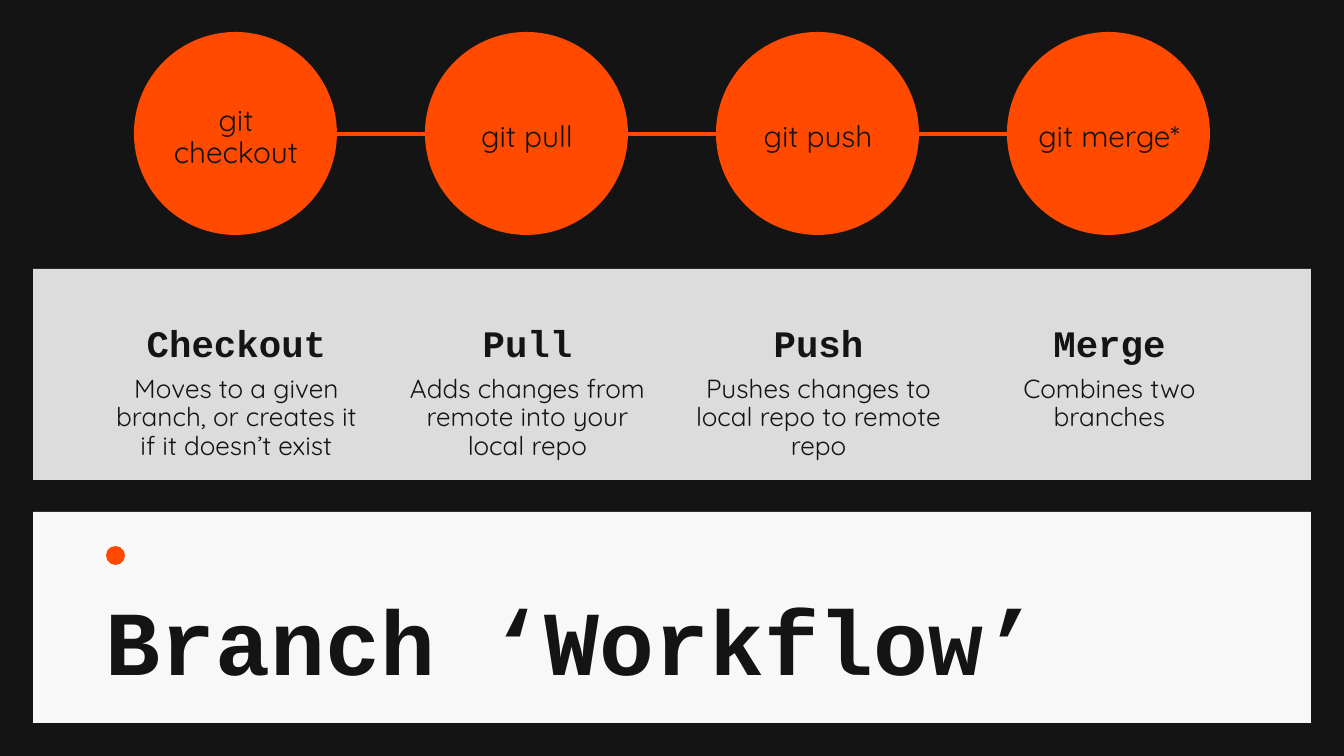
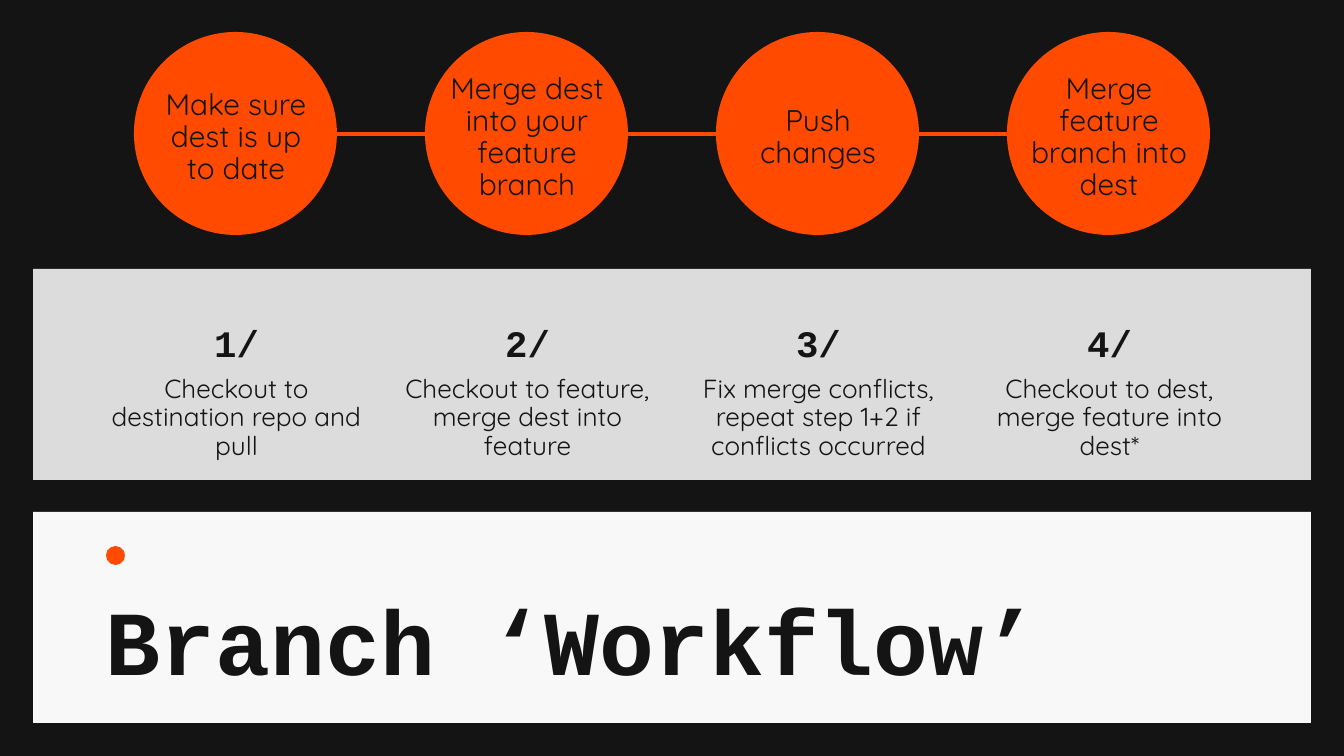
from pptx import Presentation
from pptx.dml.color import RGBColor
from pptx.enum.shapes import MSO_CONNECTOR, MSO_SHAPE
from pptx.enum.text import MSO_ANCHOR, PP_ALIGN
from pptx.oxml.ns import qn
from pptx.util import Pt
from lxml import etree

PX = 914400 / 134.4  # EMU in one px
RECTANGLE, OVAL = MSO_SHAPE.RECTANGLE, MSO_SHAPE.OVAL
STRAIGHT = MSO_CONNECTOR.STRAIGHT
TOP, MIDDLE, BOTTOM = MSO_ANCHOR.TOP, MSO_ANCHOR.MIDDLE, MSO_ANCHOR.BOTTOM
LEFT, CENTER = PP_ALIGN.LEFT, PP_ALIGN.CENTER

INK, ORANGE, GREY, WHITE = "141414", "FF4A00", "DCDCDC", "F8F8F8"
HEADING_FONT, BODY_FONT = "Courier New", "Quicksand"
COLUMN_PITCH = 291

TITLE = "Branch ‘Workflow’"
# One list per slide: circle label, heading, description
SLIDES = [
    [
        ("git checkout", "Checkout", "Moves to a given branch, or creates it if it doesn’t exist"),
        ("git pull", "Pull", "Adds changes from remote into your local repo"),
        ("git push", "Push", "Pushes changes to local repo to remote repo"),
        ("git merge*", "Merge", "Combines two branches"),
    ],
    [
        ("Make sure dest is up to date", "1/", "Checkout to destination repo and pull"),
        ("Merge dest into your feature branch", "2/", "Checkout to feature, merge dest into feature"),
        ("Push changes", "3/", "Fix merge conflicts, repeat step 1+2 if conflicts occurred"),
        ("Merge feature branch into dest", "4/", "Checkout to dest, merge feature into dest*"),
    ],
]


def add_block(slide, kind, box, color):
    shape = slide.shapes.add_shape(kind, *[round(n * PX) for n in box])
    shape.shadow.inherit = False
    shape.fill.solid()
    shape.fill.fore_color.rgb = RGBColor.from_string(color)
    shape.line.fill.background()


def add_text(slide, box, text, size, anchor, align=CENTER, heading=False, inset_top=0):
    text_frame = slide.shapes.add_textbox(*[round(n * PX) for n in box]).text_frame
    text_frame.word_wrap = True
    text_frame.vertical_anchor = anchor
    text_frame.margin_left = text_frame.margin_right = text_frame.margin_bottom = 0
    text_frame.margin_top = round(inset_top * PX)
    text_frame.text = text
    paragraph = text_frame.paragraphs[0]
    paragraph.alignment = align
    paragraph.line_spacing = 0.75 if heading else 0.9
    paragraph.space_after = Pt(2 if heading else 0)
    font = paragraph.runs[0].font
    font.name = HEADING_FONT if heading else BODY_FONT
    font.size = Pt(size)
    font.bold = heading
    font.color.rgb = RGBColor.from_string(INK)


presentation = Presentation()
presentation.slide_width = round(1344 * PX)
presentation.slide_height = round(756 * PX)

for steps in SLIDES:
    slide = presentation.slides.add_slide(presentation.slide_layouts[6])
    slide.background.fill.solid()
    slide.background.fill.fore_color.rgb = RGBColor.from_string(INK)

    # Bands, title and its dot
    add_block(slide, RECTANGLE, (33, 512, 1278, 211), WHITE)
    add_block(slide, RECTANGLE, (33, 269, 1278, 211), GREY)
    add_text(slide, (106, 614, 1133, 78), TITLE, 49, BOTTOM, LEFT, heading=True)
    add_block(slide, OVAL, (106, 546, 19, 19), ORANGE)

    # One column per step
    for index, (label, heading, description) in enumerate(steps):
        x = index * COLUMN_PITCH
        add_text(slide, (106 + x, 317, 261, 47), heading, 20, BOTTOM, heading=True)
        add_text(slide, (106 + x, 376, 261, 60), description, 14, TOP)
        add_block(slide, OVAL, (134 + x, 32, 203, 203), ORANGE)
        add_text(slide, (154 + x, 90, 164, 89), label, 16, MIDDLE, inset_top=7)

    # Lines between neighbouring circles
    for index in range(len(steps) - 1):
        x = index * COLUMN_PITCH
        ends = (318 + x, 134, 445 + x, 134)
        connector = slide.shapes.add_connector(STRAIGHT, *[round(n * PX) for n in ends])
        connector.line.color.rgb = RGBColor.from_string(ORANGE)
        connector.line.width = Pt(2.25)
        etree.SubElement(connector._element.spPr, qn("a:effectLst"))

presentation.save("out.pptx")
